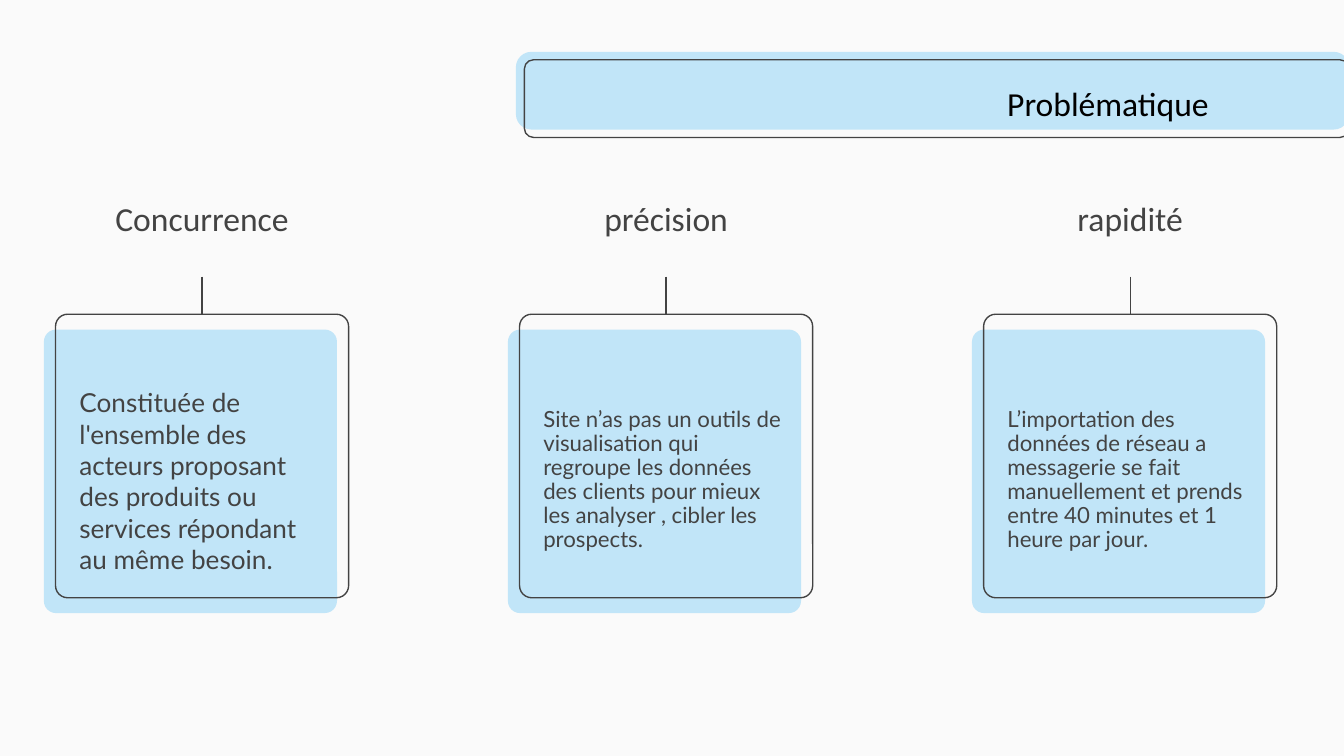
"""Build the "Problématique" slide: a title banner and three framed columns."""
from lxml import etree
from pptx import Presentation
from pptx import util as u
from pptx.dml.color import RGBColor
from pptx.enum import shapes, text
from pptx.oxml.ns import qn

BLUE, GREY, BLACK, PAPER = "C1E5F8", "434343", "000000", "FAFAFA"
PITCH = 8.77
COLUMNS = [
    ("Concurrence", "Constituée de l'ensemble des acteurs proposant des produits "
     "ou services répondant au même besoin.", 14, 1),
    ("précision", "Site n’as pas un outils de visualisation qui regroupe les données "
     "des clients pour mieux les analyser , cibler les prospects.", 11.9, 0.9),
    ("rapidité", "L’importation des données de réseau a messagerie se fait "
     "manuellement et prends entre 40 minutes et 1 heure par jour.", 11.9, 0.9),
]


def write(sp, content, box, size, font="Calibri", color=GREY, align="LEFT", spacing=1):
    sp.left, sp.top, sp.width, sp.height = [u.Cm(v) for v in box]
    sp.element.getparent().append(sp.element)
    tf = sp.text_frame
    tf.word_wrap = True
    tf.auto_size = text.MSO_AUTO_SIZE.NONE
    tf.vertical_anchor = text.MSO_ANCHOR.MIDDLE
    tf.margin_left = tf.margin_right = tf.margin_top = tf.margin_bottom = u.Cm(0.25)
    p = tf.paragraphs[0]
    p.alignment = getattr(text.PP_ALIGN, align)
    p.line_spacing = spacing
    p.space_before = u.Pt(0)
    r = p.add_run()
    r.text = content
    r.font.size, r.font.name, r.font.bold = u.Pt(size), font, False
    r.font.color.rgb = RGBColor.from_string(color)


def panel(box, radius, fill=None):
    sp = s.shapes.add_shape(shapes.MSO_SHAPE.ROUNDED_RECTANGLE, *[u.Cm(v) for v in box])
    sp.shadow.inherit = False
    sp.adjustments[0] = radius
    if fill:
        sp.fill.solid()
        sp.fill.fore_color.rgb = RGBColor.from_string(fill)
        sp.line.fill.background()
    else:
        sp.fill.background()
        sp.line.color.rgb = RGBColor.from_string(GREY)
        sp.line.width = u.Pt(0.75)


prs = Presentation()
prs.slide_width, prs.slide_height = u.Cm(25.4), u.Cm(14.29)
s = prs.slides.add_slide(prs.slide_layouts[0])
s.background.fill.solid()
s.background.fill.fore_color.rgb = RGBColor.from_string(PAPER)
title, body = s.placeholders

panel((9.75, 0.98, 15.75, 1.47), 0.2, BLUE)
panel((9.91, 1.13, 15.59, 1.47), 0.12)
write(title, "Problématique ", (14.38, 1.27, 8.86, 1.35), 18, color=BLACK, align="RIGHT")

for i, (heading, detail, size, spacing) in enumerate(COLUMNS):
    x = 0.83 + i * PITCH
    panel((x, 6.23, 5.54, 5.36), 0.043, BLUE)
    panel((x + 0.22, 5.94, 5.54, 5.36), 0.043)
    sp = s.shapes.add_textbox(0, 0, 0, 0) if i else body
    write(sp, detail, (x + 0.42, 6.76, 5.08, 4.65), size, "Lato", spacing=spacing)
    sp = s.shapes.add_textbox(0, 0, 0, 0)
    write(sp, heading, (x + 1.01, 3.02, 3.96, 2.21), 18, align="CENTER")
    middle = u.Cm(x + 2.99)
    line = s.shapes.add_connector(shapes.MSO_CONNECTOR.STRAIGHT,
                                  middle, u.Cm(5.23), middle, u.Cm(5.94))
    line.line.color.rgb = RGBColor.from_string(GREY)
    line.line.width = u.Pt(0.75)
    etree.SubElement(line.element.spPr, qn("a:effectLst"))

prs.save("out.pptx")
